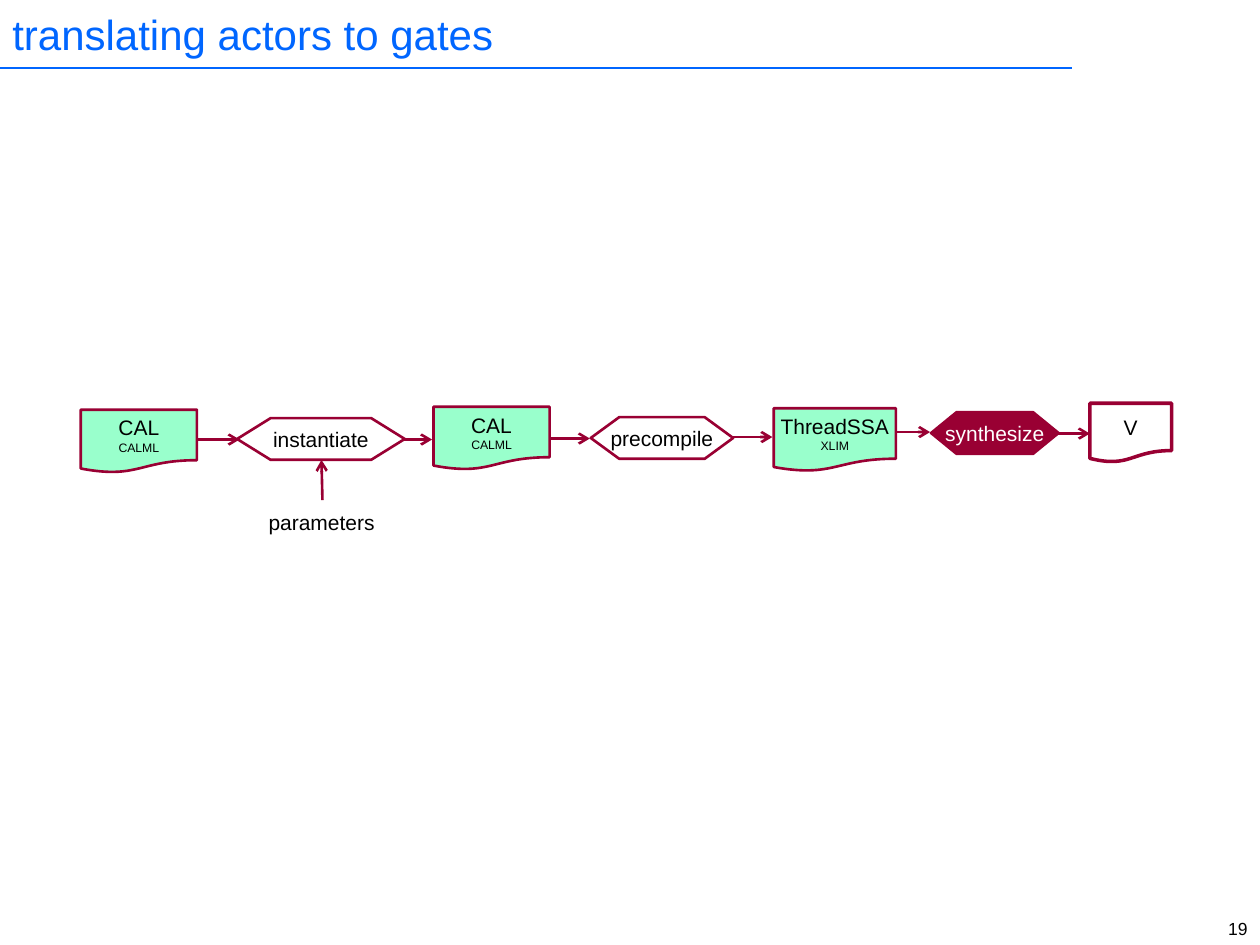
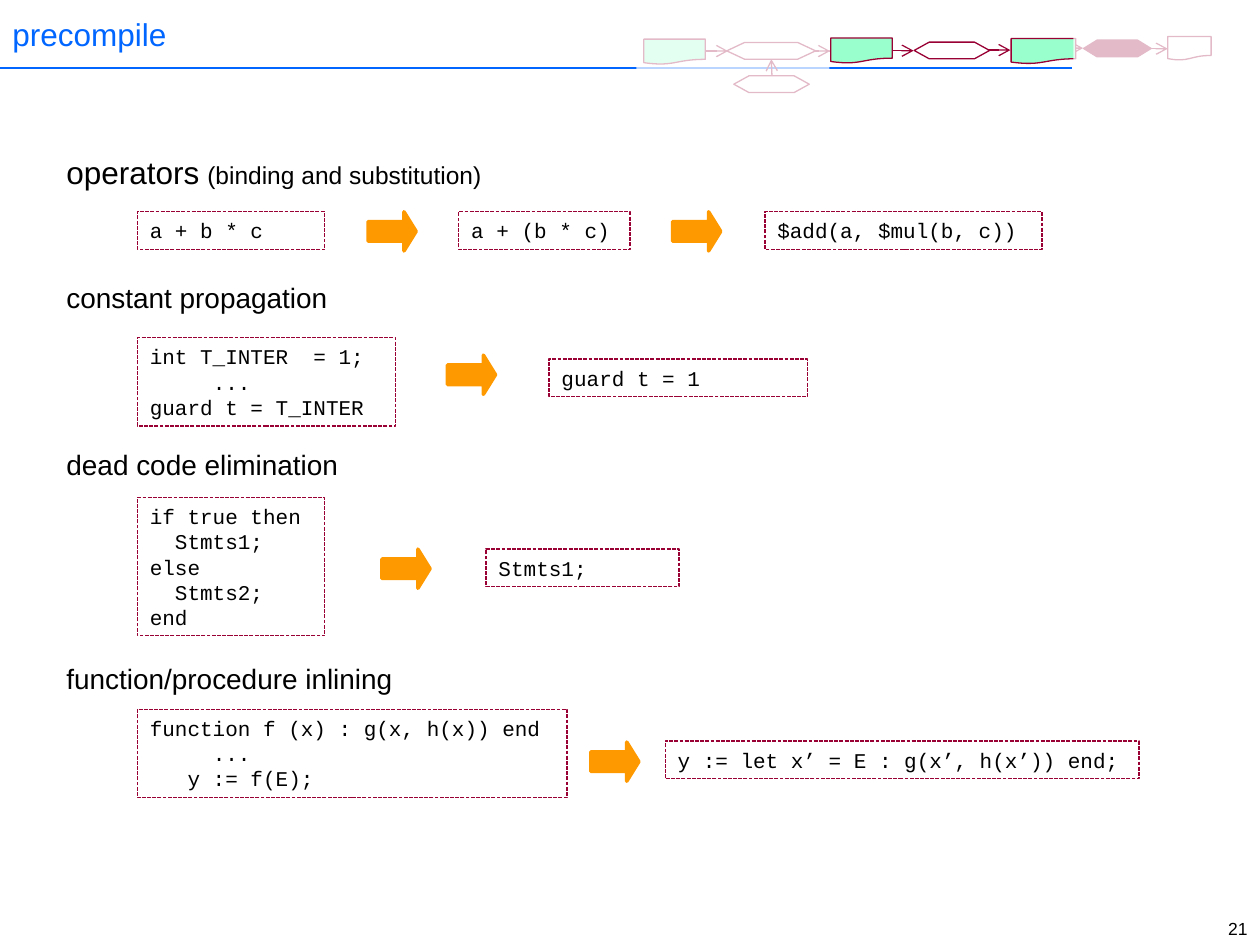
"""Builds two slides about translating actors to gates."""
import pptx
import pptx.dml.color
import pptx.enum.dml
import pptx.enum.shapes
import pptx.enum.text
import pptx.oxml.ns
import pptx.util
from lxml import etree

Cm = pptx.util.Cm
Pt = pptx.util.Pt
RGBColor = pptx.dml.color.RGBColor
Preset = pptx.enum.shapes.MSO_SHAPE
Anchor = pptx.enum.text.MSO_ANCHOR
Align = pptx.enum.text.PP_ALIGN
qn = pptx.oxml.ns.qn

BLUE = RGBColor(0x00, 0x66, 0xFF)
MAROON = RGBColor(0x99, 0x00, 0x33)
MINT = RGBColor(0x99, 0xFF, 0xCC)
ORANGE = RGBColor(0xFF, 0x99, 0x00)
BLACK = RGBColor(0x00, 0x00, 0x00)
WHITE = RGBColor(0xFF, 0xFF, 0xFF)
SANS = "Arial"
MONO = "Courier New"

DOCUMENT = Preset.FLOWCHART_DOCUMENT
STEP = Preset.FLOWCHART_PREPARATION
CODE_LEFT = 2.77
CODE_LINE = 0.76

FLOW_ARROWS = [
    (3.94, 8.86, 4.83, 8.86),
    (7.77, 8.86, 8.71, 8.86),
    (10.62, 8.84, 11.89, 8.84),
    (14.3, 8.81, 15.57, 8.81),
    (17.48, 8.71, 18.75, 8.71),
    (20.6, 8.74, 21.97, 8.74),
    (6.5, 10.08, 6.48, 9.27),
]
FLOW_SHAPES = [
    (DOCUMENT, (1.63, 8.26, 2.34, 1.27), MINT, "CAL\vCALML"),
    (STEP, (4.78, 8.43, 3.38, 0.84), WHITE, "instantiate"),
    (DOCUMENT, (8.74, 8.2, 2.34, 1.27), MINT, "CAL\vCALML"),
    (STEP, (11.91, 8.41, 2.87, 0.84), WHITE, "precompile"),
    (DOCUMENT, (15.6, 8.23, 2.46, 1.27), MINT, "ThreadSSA\vXLIM"),
    (STEP, (18.77, 8.31, 2.57, 0.84), MAROON, "synthesize"),
    (DOCUMENT, (21.97, 8.13, 1.65, 1.19), None, "V"),
    (STEP, (5.05, 10.11, 2.87, 0.84), WHITE, "parameters"),
]
FADED_AREAS = [(21.64, 0.41, 3.07, 1.27), (12.83, 0.74, 3.89, 1.27)]

HEADINGS = [
    (2.97, [("operators", 18), (" ", 16), ("(binding and substitution)", 14)]),
    (5.54, [("constant propagation", 16)]),
    (8.89, [("dead code elimination", 16)]),
    (13.21, [("function/procedure inlining", 16)]),
]
CODE_BOXES = [
    (CODE_LEFT, 4.27, 3.78, CODE_LINE, "a + b * c"),
    (9.25, 4.27, 3.45, CODE_LINE, "a + (b * c)"),
    (15.42, 4.27, 5.59, CODE_LINE, "$add(a, $mul(b, c))"),
    (CODE_LEFT, 6.81, 5.21, 1.78, "int T_INTER  = 1;\n\t...\nguard t = T_INTER"),
    (11.07, 7.24, 5.21, CODE_LINE, "guard t = 1"),
    (CODE_LEFT, 10.03, 3.78, 2.79,
     "if true then\n  Stmts1;\nelse\n  Stmts2;\nend"),
    (9.8, 11.07, 3.89, CODE_LINE, "Stmts1;"),
    (CODE_LEFT, 14.3, 8.66, 1.78,
     "function f (x) : g(x, h(x)) end\n\t...\n   y := f(E);"),
    (13.41, 14.94, 9.55, CODE_LINE, "y := let x’ = E : g(x’, h(x’)) end;"),
]
BLOCK_ARROWS = [(7.42, 4.27), (13.56, 4.27), (9.02, 7.16), (7.7, 11.07),
                (11.91, 14.96)]


def shrink(x, y):
    """Maps a point of the full flow to the small flow in the header."""
    shift = 0.22 if x > 17 and y > 8 and x != 17.4 else 0
    return 12.98 + (x - 1.63) * 0.53 - shift, 0.79 + (y - 8.26) * 0.4


class Deck:
    """Holds the style and the current slide, and draws each kind of element."""

    def __init__(self):
        self.presentation = pptx.Presentation()
        self.presentation.slide_width = Cm(25.4)
        self.presentation.slide_height = Cm(19.05)
        self.shapes = None

    def add_slide(self, title, title_size, number):
        layout = self.presentation.slide_layouts[6]
        self.shapes = self.presentation.slides.add_slide(layout).shapes
        self.line((0, 1.37, 21.62, 1.37), BLUE, 1)
        self.text((0, 0, 21.97, 1.35), [(title, title_size)], BLUE,
                  anchor=Anchor.MIDDLE)
        self.text((23.04, 18.39, 2.36, 0.58), [(number, 10)],
                  align=Align.RIGHT)

    def format_run(self, run, size, color=BLACK, font=SANS):
        run.font.name = font
        run.font.size = Pt(size)
        run.font.color.rgb = color

    def text(self, box, parts, color=BLACK, align=Align.LEFT,
             anchor=Anchor.TOP):
        frame = self.shapes.add_textbox(*map(Cm, box)).text_frame
        frame.word_wrap = True
        frame.vertical_anchor = anchor
        paragraph = frame.paragraphs[0]
        paragraph.alignment = align
        for words, size in parts:
            run = paragraph.add_run()
            run.text = words
            self.format_run(run, size, color)

    def line(self, ends, color, width, arrow=False):
        connector = self.shapes.add_connector(
            pptx.enum.shapes.MSO_CONNECTOR.STRAIGHT, *map(Cm, ends))
        connector.line.color.rgb = color
        connector.line.width = Pt(width)
        properties = connector.element.spPr
        if arrow:
            outline = properties.find(qn("a:ln"))
            etree.SubElement(outline, qn("a:tailEnd"), type="arrow")
        etree.SubElement(properties, qn("a:effectLst"))

    def shape(self, preset, box, fill=None, line=None, width=0.75):
        shape = self.shapes.add_shape(preset, *map(Cm, box))
        shape.shadow.inherit = False
        if fill is None:
            shape.fill.background()
        else:
            shape.fill.solid()
            shape.fill.fore_color.rgb = fill
        if line is None:
            shape.line.fill.background()
        else:
            shape.line.color.rgb = line
            shape.line.width = Pt(width)
        return shape

    def flow(self):
        for ends in FLOW_ARROWS:
            self.line(ends, MAROON, 1.5, arrow=True)
        for preset, box, fill, label in FLOW_SHAPES:
            outline = None if label == "parameters" else MAROON
            width = 2 if fill is None else 1.5
            shape = self.shape(preset, box, fill, outline, width)
            frame = shape.text_frame
            frame.word_wrap = False
            frame.vertical_anchor = Anchor.MIDDLE
            paragraph = frame.paragraphs[0]
            paragraph.text = label
            paragraph.alignment = Align.CENTER
            color = WHITE if fill == MAROON else BLACK
            for run, size in zip(paragraph.runs, (12, 7)):
                self.format_run(run, size, color)

    def small_flow(self):
        slide_shapes = self.shapes
        self.shapes = slide_shapes.add_group_shape().shapes
        for start_x, start_y, end_x, end_y in FLOW_ARROWS:
            ends = shrink(start_x, start_y) + shrink(end_x, end_y)
            self.line(ends, MAROON, 0.75, arrow=True)
        for preset, (left, top, width, height), fill, _ in FLOW_SHAPES:
            box = (*shrink(left, top), width * 0.53, height * 0.4)
            self.shape(preset, box, fill, MAROON)
        for box in FADED_AREAS:
            veil = self.shape(Preset.RECTANGLE, box, WHITE)
            color = veil.element.spPr.find(".//" + qn("a:srgbClr"))
            etree.SubElement(color, qn("a:alpha"), val="73000")
        self.shapes = slide_shapes

    def code(self, left, top, width, height, words):
        shape = self.shape(Preset.RECTANGLE, (left, top, width, height),
                           line=MAROON)
        shape.line.dash_style = pptx.enum.dml.MSO_LINE.SQUARE_DOT
        frame = shape.text_frame
        frame.text = words
        frame.word_wrap = True
        frame.vertical_anchor = Anchor.TOP
        for paragraph in frame.paragraphs:
            paragraph.alignment = Align.LEFT
            for run in paragraph.runs:
                self.format_run(run, 12, font=MONO)

    def block_arrow(self, left, top):
        shape = self.shape(Preset.RIGHT_ARROW, (left, top, 0.97, 0.79),
                           ORANGE, ORANGE, 2)
        shape.adjustments[0] = 0.5
        shape.adjustments[1] = 0.31


def main():
    deck = Deck()
    deck.add_slide("translating actors to gates", 24, "19")
    deck.flow()

    deck.add_slide("precompile", 18, "21")
    deck.small_flow()
    for top, parts in HEADINGS:
        deck.text((1.09, top, 9.5, 1), parts)
    for box in CODE_BOXES:
        deck.code(*box)
    for place in BLOCK_ARROWS:
        deck.block_arrow(*place)
    deck.presentation.save("out.pptx")


if __name__ == "__main__":
    main()
